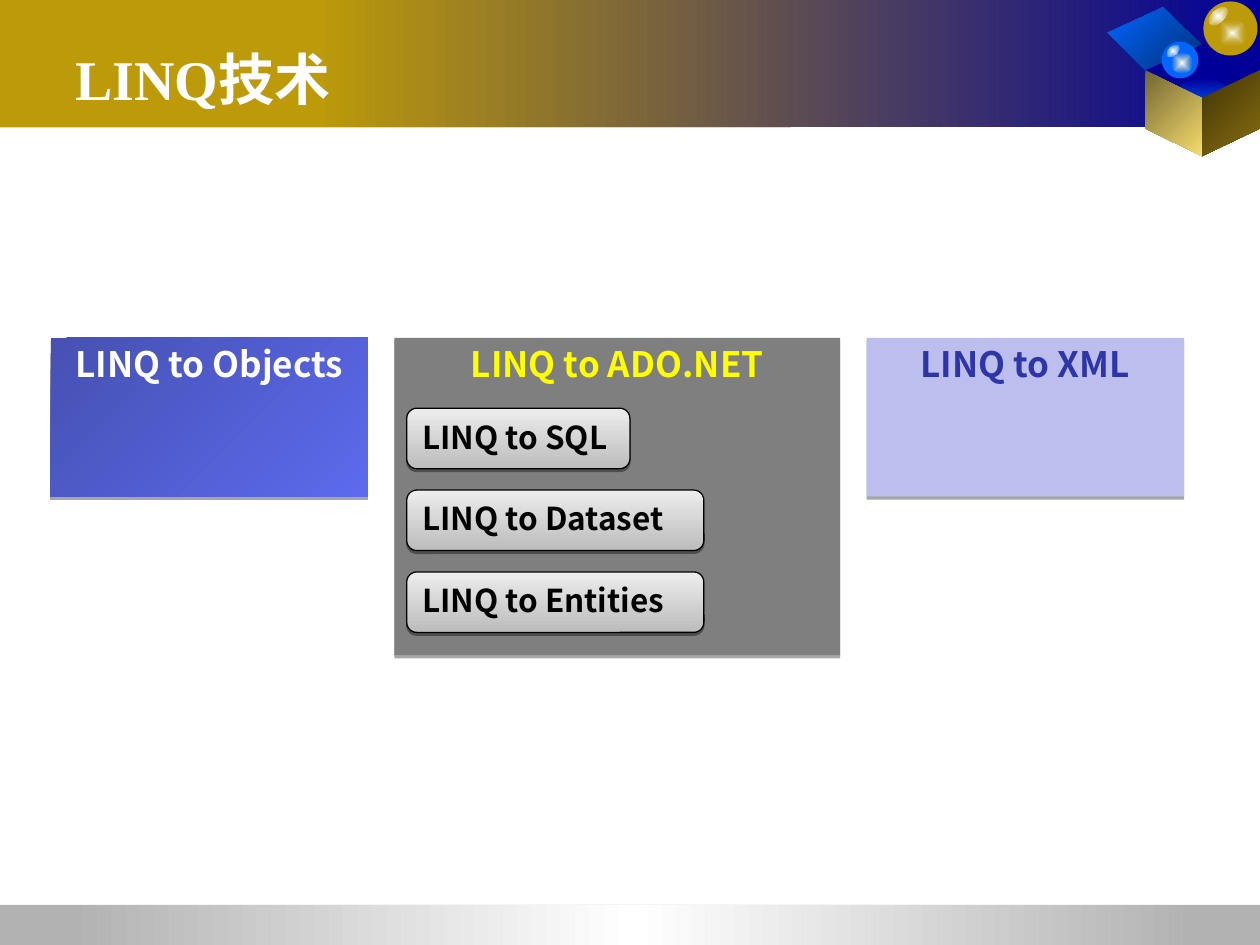
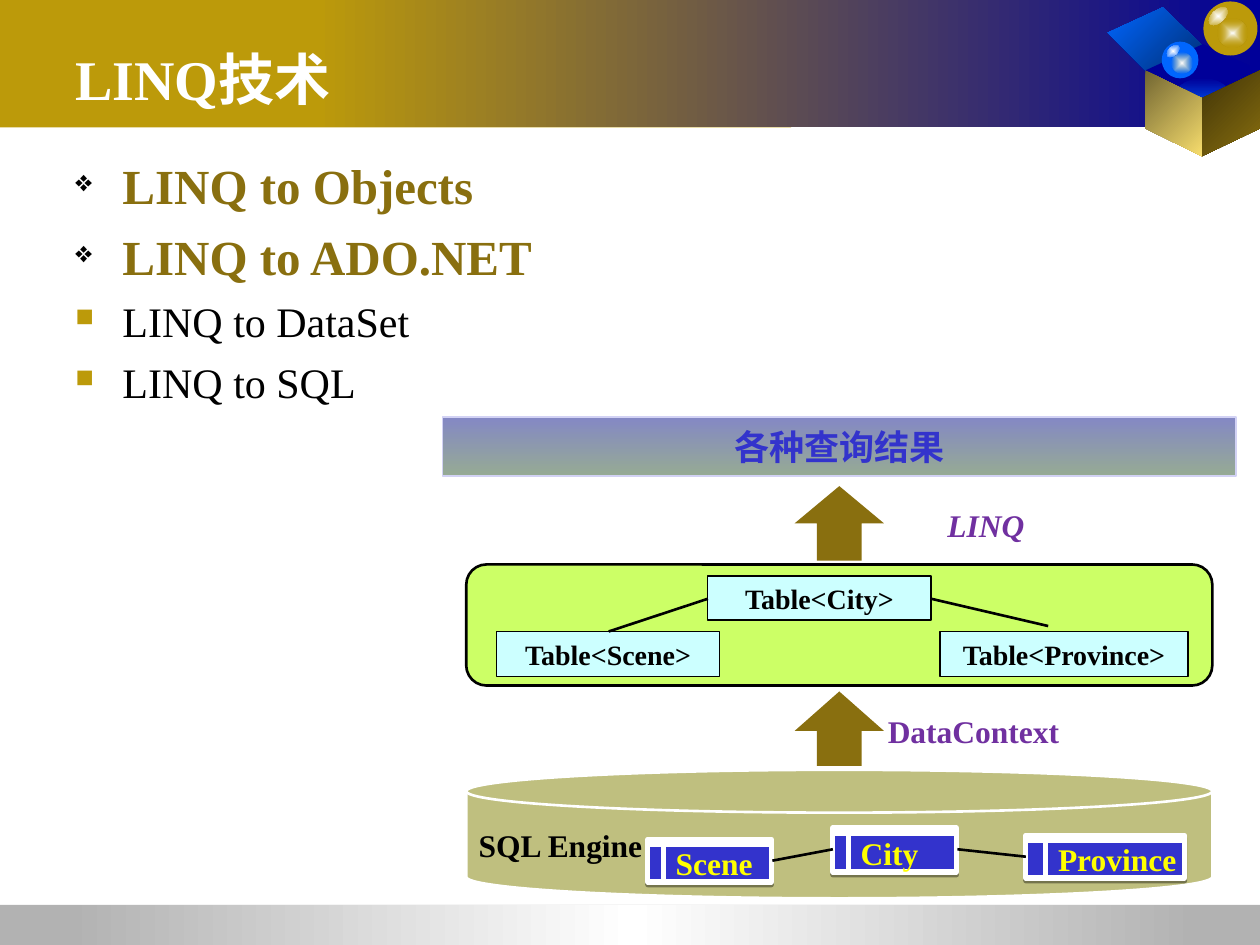
from lxml import etree
from pptx import Presentation
from pptx.dml.color import RGBColor
from pptx.enum.shapes import MSO_CONNECTOR, MSO_SHAPE as SHAPE
from pptx.enum.text import MSO_ANCHOR as ANCHOR, PP_ALIGN as ALIGN
from pptx.oxml.ns import qn
from pptx.util import Cm, Pt

SERIF, SANS = "Times New Roman", "Noto Sans CJK SC"

BLACK = RGBColor(0x00, 0x00, 0x00)
WHITE = RGBColor(0xFF, 0xFF, 0xFF)
GOLD = RGBColor(0xBC, 0x9A, 0x0A)
DARK_GOLD = RGBColor(0x89, 0x6F, 0x0F)
PALE_GOLD = RGBColor(0xF7, 0xDD, 0x6D)
BROWN = RGBColor(0x3F, 0x33, 0x07)
KHAKI = RGBColor(0x72, 0x66, 0x32)
OLIVE = RGBColor(0x80, 0x80, 0x00)
NAVY = RGBColor(0x00, 0x00, 0x99)
AZURE = RGBColor(0x00, 0x66, 0xFF)
DEEP_AZURE = RGBColor(0x00, 0x2F, 0x76)
BLUE = RGBColor(0x33, 0x33, 0xCC)
INK_BLUE = RGBColor(0x2D, 0x35, 0xA7)
PANEL_BLUE = RGBColor(0x46, 0x51, 0xB2)
PANEL_BLUE_LIGHT = RGBColor(0x5C, 0x6A, 0xED)
LAVENDER = RGBColor(0xBC, 0xBF, 0xED)
PALE_LAVENDER = RGBColor(0xD2, 0xD2, 0xF4)
DUSK = RGBColor(0x84, 0x88, 0xC4)
SAGE = RGBColor(0x96, 0xAB, 0x94)
SILVER = RGBColor(0xB2, 0xB2, 0xB2)
GREY = RGBColor(0x7F, 0x7F, 0x7F)
CHIP_DARK = RGBColor(0xBC, 0xBC, 0xBC)
CHIP_LIGHT = RGBColor(0xED, 0xED, 0xED)
YELLOW = RGBColor(0xFF, 0xFF, 0x00)
LIME = RGBColor(0xCC, 0xFF, 0x66)
ICE = RGBColor(0xCC, 0xFF, 0xFF)
PURPLE = RGBColor(0x70, 0x30, 0xA0)


def grad(*colours, angle=0):
    return {"colours": colours, "angle": angle}


def glow(inner, outer, outer_alpha=100):
    return {"colours": (inner, outer), "angle": None, "outer_alpha": outer_alpha}


# Content. Boxes are left, top, width, height in centimetres.
TITLE = "LINQ技术"

BANDS = [
    ((0, 0, 15.95, 2.57), GOLD),
    ((0, 18.24, 25.4, 0.81), SILVER),
    ((1.37, 18.24, 22.78, 0.81), grad(SILVER, WHITE, SILVER)),
    ((6.35, 0, 19.05, 2.57), grad(GOLD, NAVY)),
]
LID = [(23.09, 1.42), (24.23, 0.91), (23.44, 0.15), (22.33, 0.66)]
OPENING = [(24.25, 0.89), (25.4, 1.42), (24.25, 1.98), (23.09, 1.42)]
RIGHT_FACE = [(24.23, 1.98), (24.23, 3.15), (25.4, 2.59), (25.4, 1.42)]
LEFT_FACE = [(24.23, 1.98), (24.23, 3.15), (23.09, 2.59), (23.09, 1.42)]
INNER_LIGHT = (23.52, 1.57, 1.45, 1.45)
# ball, its colour, centre glow, glow colour, tilted glint
BALLS = [
    ((23.42, 0.84, 0.74, 0.74), AZURE, (23.62, 1.07, 0.41, 0.41), PALE_GOLD,
     (23.5, 0.94, 0.3, 0.18)),
    ((24.26, 0.03, 1.09, 1.09), GOLD, (24.54, 0.38, 0.61, 0.58), GOLD,
     (24.33, 0.2, 0.46, 0.25)),
]

# text, width, height, fill, text colour
PANELS = [
    ("LINQ to Objects", 6.4, 3.2, grad(PANEL_BLUE, PANEL_BLUE_LIGHT, angle=45), WHITE),
    ("LINQ to ADO.NET", 8.99, 6.4, GREY, YELLOW),
    ("LINQ to XML", 6.4, 3.2, LAVENDER, INK_BLUE),
]
PANEL_LEFT, PANEL_TOP, PANEL_GAP = 1.02, 6.81, 0.53
CHIPS = [("LINQ to SQL", 4.5), ("LINQ to Dataset", 5.99), ("LINQ to Entities", 5.99)]
CHIP_LEFT, CHIP_TOP, CHIP_HEIGHT, CHIP_STEP = 8.2, 8.23, 1.22, 1.65

# text, is heading
BULLETS = [
    ("LINQ to Objects", True),
    ("LINQ to ADO.NET", True),
    ("LINQ to DataSet", False),
    ("LINQ to SQL", False),
]
RESULT = "各种查询结果"
DATABASE = "SQL Engine"
AXIS = 16.92  # vertical centre line of the diagram
ARROWS = [(9.8, 0.5), (13.94, 0.53)]  # top, head ratio
TABLES = [
    ("Table<Scene>", (10.01, 12.73, 4.5, 0.91)),
    ("Table<City>", (14.27, 11.61, 4.5, 0.89)),
    ("Table<Province>", (18.95, 12.73, 5, 0.91)),
]
STORES = [
    ("Scene", (13.06, 16.92, 2.49, 0.86)),
    ("Province", (20.68, 16.84, 3.2, 0.86)),
    ("City", (16.79, 16.69, 2.49, 0.89)),
]
TABLE_LINKS = [(18.77, 12.07, 21.13, 12.62), (14.27, 12.07, 12.27, 12.73)]
STORE_LINKS = [(19.3, 17.12, 20.68, 17.27), (16.79, 17.12, 15.57, 17.35)]
LABELS = [
    ("DataContext", (17.63, 14.25, 3.99, 0.99), False),
    ("LINQ", (17.88, 10.08, 3.99, 0.99), True),
]


def add(parent, tag, **attrs):
    return etree.SubElement(parent, qn(tag), attrs)


def add_colour(parent, colour, alpha=100):
    clr = add(parent, "a:srgbClr", val=str(colour))
    if alpha < 100:
        add(clr, "a:alpha", val=str(alpha * 1000))


def paint(s, fill, alpha=100, line=None, width=0.75, shadow=None):
    """Fill is a colour, grad() or glow(); shadow is (opacity %, distance pt)."""
    s.shadow.inherit = False
    if isinstance(fill, dict):
        s.fill.background()
        no_fill = s._element.spPr.find(qn("a:noFill"))
        g = etree.Element(qn("a:gradFill"), rotWithShape="1")
        stops = add(g, "a:gsLst")
        last = len(fill["colours"]) - 1
        for i, colour in enumerate(fill["colours"]):
            stop = add(stops, "a:gs", pos=str(100000 * i // last))
            add_colour(stop, colour, fill.get("outer_alpha", 100) if i == last else 100)
        if fill["angle"] is None:
            centre = dict.fromkeys("ltrb", "50000")
            add(add(g, "a:path", path="rect"), "a:fillToRect", **centre)
        else:
            add(g, "a:lin", ang=str(fill["angle"] * 60000), scaled="0")
        no_fill.getparent().replace(no_fill, g)
    else:
        s.fill.solid()
        s.fill.fore_color.rgb = fill
        if alpha < 100:
            clr = s._element.spPr.find(qn("a:solidFill"))[0]
            add(clr, "a:alpha", val=str(alpha * 1000))
    if line is None:
        s.line.fill.background()
    else:
        s.line.color.rgb = line
        s.line.width = Pt(width)
    if shadow:
        opacity, distance = shadow
        effects = s._element.spPr.find(qn("a:effectLst"))
        drop = add(effects, "a:outerShdw", blurRad="0", dist=str(Pt(distance)),
                   dir="5400000", rotWithShape="0")
        add_colour(drop, BLACK, opacity)


def add_box(slide, kind, box, fill, **style):
    s = slide.shapes.add_shape(kind, *map(Cm, box))
    paint(s, fill, **style)
    return s


def add_face(slide, points, fill):
    start, *rest = [(Cm(x), Cm(y)) for x, y in points]
    builder = slide.shapes.build_freeform(*start)
    builder.add_line_segments(rest, close=True)
    paint(builder.convert_to_shape(), fill)


def add_link(slide, ends):
    c = slide.shapes.add_connector(MSO_CONNECTOR.STRAIGHT, *map(Cm, ends))
    c.line.color.rgb = BLACK
    c.line.width = Pt(1.5)
    add(c._element.spPr, "a:effectLst")


def set_font(p, size, colour, name=SERIF, bold=True, italic=False):
    f = p.font
    f.name, f.size, f.bold, f.italic = name, Pt(size), bold, italic
    f.color.rgb = colour
    add(f._element, "a:ea", typeface=SANS)


def frame(s, anchor=ANCHOR.MIDDLE, tight=False, wrap=False):
    tf = s.text_frame
    tf.word_wrap = wrap
    tf.vertical_anchor = anchor
    tf.margin_left = tf.margin_right = Cm(0.1 if tight else 0.25)
    tf.margin_top = tf.margin_bottom = Cm(0.1 if tight else 0.13)
    return tf


def write(s, text, size, colour, centred=False, anchor=ANCHOR.MIDDLE, **font):
    """Centred text goes with tight margins, left text with normal ones."""
    p = frame(s, anchor, tight=centred).paragraphs[0]
    p.text = text
    p.alignment = ALIGN.CENTER if centred else ALIGN.LEFT
    set_font(p, size, colour, **font)


def add_base(prs):
    """New slide with bands, open cube and title."""
    slide = prs.slides.add_slide(prs.slide_layouts[6])
    for box, fill in BANDS:
        add_box(slide, SHAPE.RECTANGLE, box, fill)
    add_face(slide, LID, grad(AZURE, DEEP_AZURE, angle=45))
    add_face(slide, OPENING, NAVY)
    add_box(slide, SHAPE.OVAL, INNER_LIGHT, glow(AZURE, NAVY))
    add_face(slide, RIGHT_FACE, grad(BROWN, DARK_GOLD, angle=45))
    add_face(slide, LEFT_FACE, grad(KHAKI, PALE_GOLD, angle=45))
    for ball, colour, centre, centre_colour, glint in BALLS:
        add_box(slide, SHAPE.OVAL, ball, colour)
        add_box(slide, SHAPE.OVAL, centre, glow(WHITE, centre_colour, 0))
        add_box(slide, SHAPE.OVAL, glint, glow(WHITE, colour)).rotation = 317.2
    title = slide.shapes.add_textbox(Cm(1.27), Cm(0.76), Cm(22.86), Cm(3.18))
    write(title, TITLE, 32, WHITE, anchor=ANCHOR.TOP)
    return slide


def build_overview(prs):
    slide = add_base(prs)
    left = PANEL_LEFT
    for text, width, height, fill, colour in PANELS:
        s = add_box(slide, SHAPE.RECTANGLE, (left, PANEL_TOP, width, height), fill,
                    shadow=(35, 1.8))
        write(s, text, 20, colour, centred=True, anchor=ANCHOR.TOP, name=SANS)
        left += width + PANEL_GAP
    for i, (text, width) in enumerate(CHIPS):
        box = (CHIP_LEFT, CHIP_TOP + i * CHIP_STEP, width, CHIP_HEIGHT)
        s = add_box(slide, SHAPE.ROUNDED_RECTANGLE, box,
                    grad(CHIP_DARK, CHIP_LIGHT, angle=270), line=BLACK, shadow=(38, 1.6))
        write(s, text, 18, BLACK, anchor=ANCHOR.TOP, name=SANS)


def add_bullets(slide):
    s = slide.shapes.add_textbox(Cm(1.27), Cm(3), Cm(21.54), Cm(5.33))
    tf = frame(s, ANCHOR.TOP, wrap=True)
    for i, (text, heading) in enumerate(BULLETS):
        p = tf.add_paragraph() if i else tf.paragraphs[0]
        p.text = text
        if i:
            p.space_before = Pt(7 if heading else 6)
        pPr = p._p.get_or_add_pPr()
        pPr.set("marL", str(Cm(0.95)))
        pPr.set("indent", str(-Cm(0.95)))
        add_colour(add(pPr, "a:buClr"), BLACK if heading else GOLD)
        add(pPr, "a:buSzPct", val="60000")
        add(pPr, "a:buChar", char="❖" if heading else "■")
        set_font(p, 28 if heading else 24, DARK_GOLD if heading else BLACK, bold=heading)


def build_architecture(prs):
    slide = add_base(prs)
    add_bullets(slide)

    s = add_box(slide, SHAPE.RECTANGLE, (AXIS - 8, 8.41, 16, 1.19),
                grad(DUSK, SAGE, angle=90), line=PALE_LAVENDER)
    write(s, RESULT, 20, BLUE, centred=True)
    for top, head in ARROWS:
        s = add_box(slide, SHAPE.UP_ARROW, (AXIS - 0.9, top, 1.8, 1.5), DARK_GOLD)
        s.adjustments[1] = head

    s = add_box(slide, SHAPE.FLOWCHART_MAGNETIC_DISK, (AXIS - 7.52, 15.52, 15.04, 2.59),
                OLIVE, alpha=50, line=WHITE, width=1.5)
    write(s, DATABASE, 18, BLACK)
    for text, box in STORES:
        s = add_box(slide, SHAPE.FLOWCHART_INTERNAL_STORAGE, box, BLUE,
                    line=WHITE, width=3, shadow=(38, 1.6))
        write(s, text, 18, YELLOW)

    add_box(slide, SHAPE.ROUNDED_RECTANGLE, (AXIS - 7.52, 11.38, 15.04, 2.44), LIME,
            line=BLACK, width=1.5)
    for text, box in TABLES:
        s = add_box(slide, SHAPE.RECTANGLE, box, ICE, line=BLACK)
        write(s, text, 16, BLACK, centred=True)
    for ends in STORE_LINKS + TABLE_LINKS:
        add_link(slide, ends)
    for text, box, italic in LABELS:
        s = slide.shapes.add_textbox(*map(Cm, box))
        write(s, text, 18, PURPLE, centred=True, italic=italic)


def main():
    prs = Presentation()
    prs.slide_width, prs.slide_height = Cm(25.4), Cm(19.05)
    build_overview(prs)
    build_architecture(prs)
    prs.save("out.pptx")


if __name__ == "__main__":
    main()
